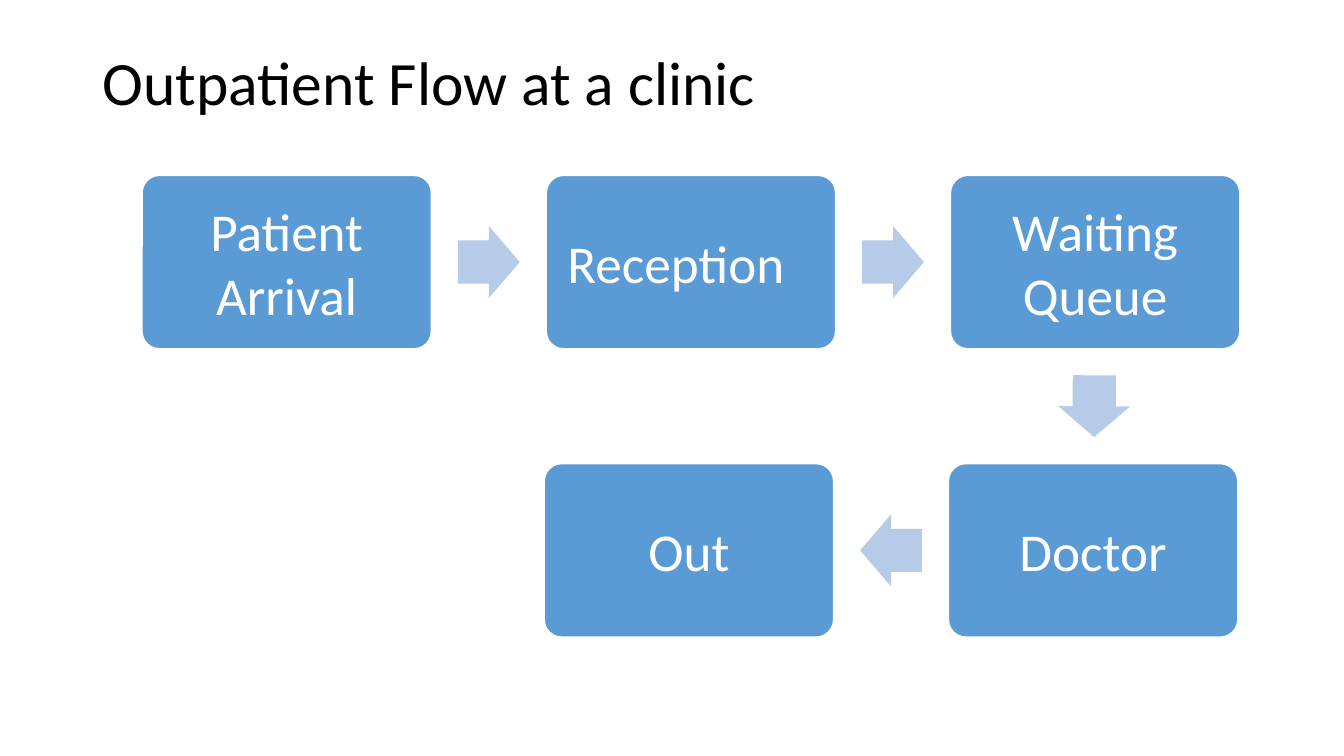
import itertools
import math

import pptx
import pptx.dml.color
import pptx.enum.shapes
import pptx.enum.text
import pptx.util

Pt = pptx.util.Pt
SHAPES = pptx.enum.shapes.MSO_SHAPE
ALIGN = pptx.enum.text.PP_ALIGN
MIDDLE = pptx.enum.text.MSO_ANCHOR.MIDDLE

BLACK = pptx.dml.color.RGBColor(0x00, 0x00, 0x00)
WHITE = pptx.dml.color.RGBColor(0xFF, 0xFF, 0xFF)
STEP_BLUE = pptx.dml.color.RGBColor(0x5B, 0x9B, 0xD5)
ARROW_BLUE = pptx.dml.color.RGBColor(0xB5, 0xCB, 0xE7)

FONT = "Calibri"
STEP_WIDTH, STEP_HEIGHT = 206.64, 123.84
ARROW_LENGTH, ARROW_WIDTH = 44.1, 51.4
STEP_INSET = 11.5
COLUMN_PITCH = 288.72
# Left edge of the first column and top edge, for each row of the flow
ROWS = [(101.52, 125.28), (100.08, 331.2)]

# Label, column, row, in the order a patient passes
STEPS = [
    ("Patient Arrival", 0, 0),
    ("Reception\t", 1, 0),
    ("Waiting Queue", 2, 0),
    ("Doctor", 2, 1),
    ("Out", 1, 1),
]


def write_line(frame, text, size, color, alignment):
    frame.vertical_anchor = MIDDLE
    frame.word_wrap = True
    paragraph = frame.paragraphs[0]
    paragraph.alignment = alignment
    run = paragraph.add_run()
    run.text = text
    run.font.name = FONT
    run.font.size = Pt(size)
    run.font.color.rgb = color
    return paragraph


def set_title(slide, text):
    title = slide.shapes.title
    title.left, title.top = Pt(66), Pt(28.8)
    title.width, title.height = Pt(828), Pt(64.8)
    paragraph = write_line(title.text_frame, text, 44, BLACK, ALIGN.LEFT)
    paragraph.line_spacing = 0.9


def add_centered(slide, kind, center, width, height, fill):
    x, y = center
    shape = slide.shapes.add_shape(
        kind, Pt(x - width / 2), Pt(y - height / 2), Pt(width), Pt(height))
    shape.shadow.inherit = False
    shape.fill.solid()
    shape.fill.fore_color.rgb = fill
    return shape


def step_center(column, row):
    left, top = ROWS[row]
    return (left + column * COLUMN_PITCH + STEP_WIDTH / 2,
            top + STEP_HEIGHT / 2)


def add_step(slide, label, center):
    step = add_centered(slide, SHAPES.ROUNDED_RECTANGLE, center,
                        STEP_WIDTH, STEP_HEIGHT, STEP_BLUE)
    step.adjustments[0] = 0.1
    step.line.color.rgb = WHITE
    step.line.width = Pt(1)
    frame = step.text_frame
    frame.margin_left = frame.margin_right = Pt(STEP_INSET)
    frame.margin_top = frame.margin_bottom = Pt(STEP_INSET)
    write_line(frame, label, 38, WHITE, ALIGN.CENTER)


def add_arrow(slide, start, end):
    """Place a block arrow halfway between two steps, pointing at the second."""
    (x1, y1), (x2, y2) = start, end
    arrow = add_centered(slide, SHAPES.RIGHT_ARROW,
                         ((x1 + x2) / 2, (y1 + y2) / 2),
                         ARROW_LENGTH, ARROW_WIDTH, ARROW_BLUE)
    arrow.adjustments[0] = 0.6
    arrow.adjustments[1] = 0.5
    arrow.line.fill.background()
    arrow.rotation = math.degrees(math.atan2(y2 - y1, x2 - x1))


def main():
    presentation = pptx.Presentation()
    presentation.slide_width, presentation.slide_height = Pt(960), Pt(540)
    slide = presentation.slides.add_slide(presentation.slide_layouts[5])
    set_title(slide, "Outpatient Flow at a clinic")

    centers = [step_center(column, row) for _, column, row in STEPS]
    for (label, _, _), center in zip(STEPS, centers):
        add_step(slide, label, center)
    for start, end in itertools.pairwise(centers):
        add_arrow(slide, start, end)

    presentation.save("out.pptx")


if __name__ == "__main__":
    main()
